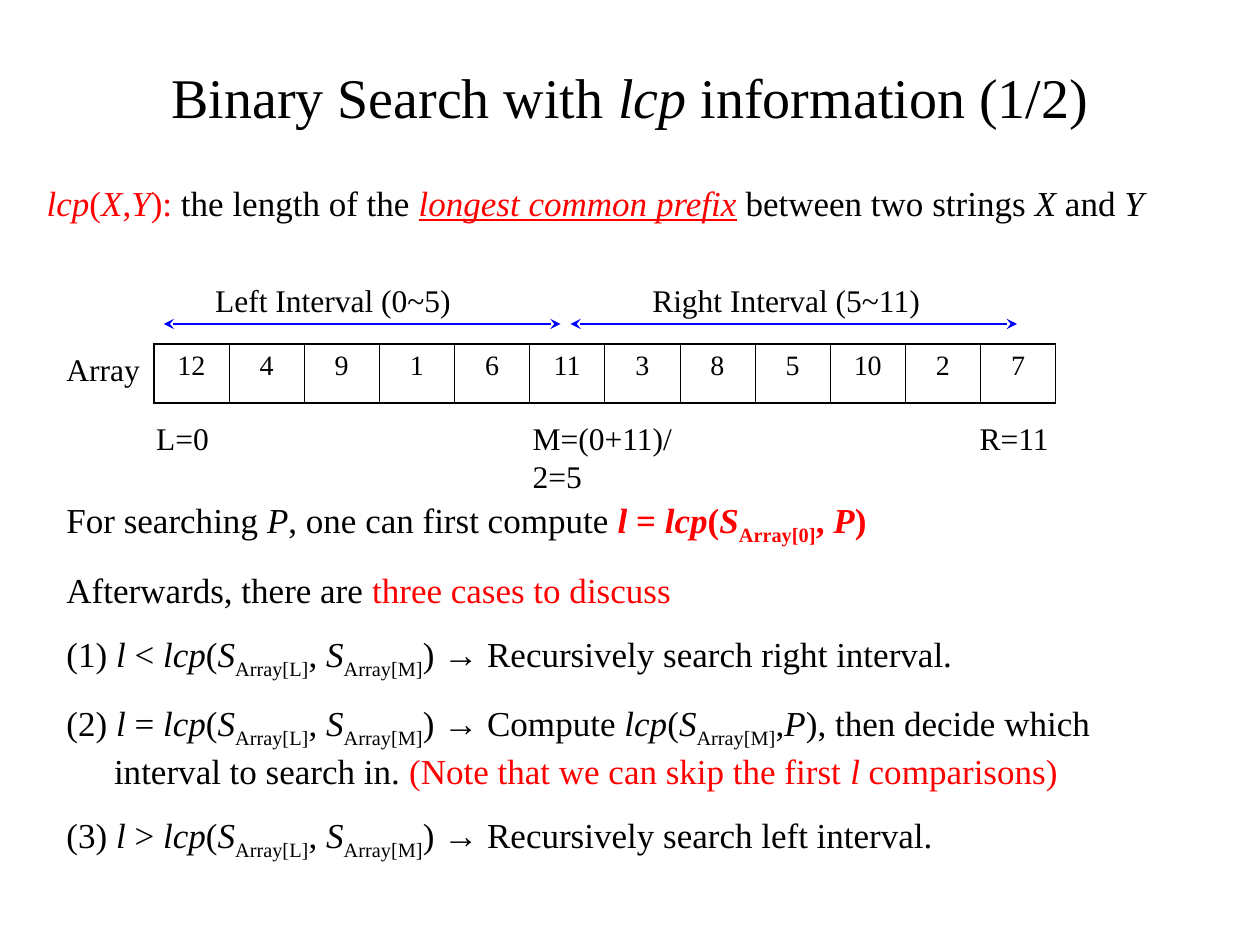
import pptx
import pptx.util
import pptx.dml.color
import pptx.enum.shapes
import pptx.enum.text
import pptx.oxml
import pptx.oxml.ns
from dataclasses import dataclass
from pptx.util import Cm, Pt


@dataclass(frozen=True)
class Theme:
    font: str = "Times New Roman"
    arrow_font: str = "Arial"
    ink: str = "000000"
    red: str = "FF0000"
    blue: str = "0000FF"
    title: float = 32
    body: float = 20
    label: float = 18
    cell: float = 16
    gap: float = 12.5
    outer_line: float = 1.08
    inner_line: float = 0.45
    arrow_line: float = 1.5


T = Theme()

# Run flags: i italic, b bold, u underline, r red, s subscript, a arrow font
TITLE = [("Binary Search with ", ""), ("lcp", "i"), (" information (1/2)", "")]
DEFINITION = [
    ("lcp", "ri"), ("(", "r"), ("X", "ri"), (",", "r"), ("Y", "ri"), ("):", "r"),
    (" the length of the ", ""), ("longest common prefix", "riu"),
    (" between two strings ", ""), ("X", "i"), (" and ", ""), ("Y", "i"),
]
ARRAY = [12, 4, 9, 1, 6, 11, 3, 8, 5, 10, 2, 7]


def case(number, relation):
    return [
        (f"({number})", ""), (" l", "i"), (f" {relation} ", ""), ("lcp", "i"), ("(", ""),
        ("S", "i"), ("Array[L]", "s"), (", ", ""), ("S", "i"), ("Array[M]", "s"),
        (") ", ""), ("→", "a"),
    ]


STEPS = [
    [("For searching ", ""), ("P", "i"), (", one can first compute ", ""), ("l ", "rbi"),
     ("= ", "rb"), ("lcp", "rbi"), ("(", "rb"), ("S", "rbi"), ("Array[0]", "rbs"),
     (", ", "rb"), ("P", "rbi"), (")", "rb")],
    [("Afterwards, there are ", ""), ("three cases to discuss", "r")],
    case(1, "<") + [(" Recursively search right interval.", "")],
    case(2, "=") + [
        (" Compute ", ""), ("lcp", "i"), ("(", ""), ("S", "i"), ("Array[M]", "s"), (",", ""),
        ("P", "i"), ("), then decide which interval to search in. ", ""),
        ("(Note that we can skip the first ", "r"), ("l", "ri"), (" comparisons)", "r")],
    case(3, ">") + [(" Recursively search left interval.", "")],
]

INTERVAL_TOP, ARRAY_TOP, INDEX_TOP = 5.54, 6.93, 8.33
LABELS = [
    ("Left Interval (0~5)", 4.09, INTERVAL_TOP, 5.42),
    ("Right Interval (5~11)", 12.9, INTERVAL_TOP, 6.2),
    ("Array", 1.09, ARRAY_TOP, 2.02),
    ("L=0", 2.9, INDEX_TOP, 1.82),
    ("M=(0+11)/2=5", 10.49, INDEX_TOP, 3.99),
    ("R=11", 19.5, INDEX_TOP, 2.02),
]
ARROW_Y = 6.53
ARROWS = [(3.3, 11.3), (11.5, 20.5)]
TABLE_LEFT, TABLE_WIDTH, TABLE_HEIGHT = 3.1, 18.19, 1.19
HANGING = 0.96


def rgb(value):
    return pptx.dml.color.RGBColor.from_string(value)


def style(font, size):
    font.name = T.font
    font.size = Pt(size)
    font.color.rgb = rgb(T.ink)


def write(p, runs, size):
    style(p.font, size)
    for text, flags in runs:
        r = p.add_run()
        r.text = text
        if "i" in flags:
            r.font.italic = True
        if "b" in flags:
            r.font.bold = True
        if "u" in flags:
            r.font.underline = True
        if "r" in flags:
            r.font.color.rgb = rgb(T.red)
        if "a" in flags:
            r.font.name = T.arrow_font
        if "s" in flags:
            r._r.get_or_add_rPr().set("baseline", "-25000")


def add_text(s, paragraphs, left, top, width, height, size, hanging=0):
    sp = s.shapes.add_textbox(Cm(left), Cm(top), Cm(width), Cm(height))
    tf = sp.text_frame
    tf.word_wrap = True
    tf.auto_size = pptx.enum.text.MSO_AUTO_SIZE.SHAPE_TO_FIT_TEXT
    for i, runs in enumerate(paragraphs):
        p = tf.add_paragraph() if i else tf.paragraphs[0]
        if i:
            p.space_before = Pt(T.gap)
        if hanging:
            pPr = p._p.get_or_add_pPr()
            pPr.set("marL", str(Cm(hanging)))
            pPr.set("indent", str(-Cm(hanging)))
        write(p, runs, size)


def add_border(cell, side, width):
    tcPr = cell._tc.get_or_add_tcPr()
    tcPr.append(pptx.oxml.parse_xml(
        f'<a:{side} {pptx.oxml.ns.nsdecls("a")} w="{Pt(width)}"><a:solidFill>'
        f'<a:srgbClr val="{T.ink}"/></a:solidFill></a:{side}>'))


def add_array(s):
    n = len(ARRAY)
    frame = s.shapes.add_table(1, n, Cm(TABLE_LEFT), Cm(ARRAY_TOP),
                               Cm(TABLE_WIDTH), Cm(TABLE_HEIGHT))
    table = frame.table
    table.first_row = False
    table.horz_banding = False
    for i, value in enumerate(ARRAY):
        table.columns[i].width = Cm(TABLE_WIDTH / n)
        cell = table.cell(0, i)
        p = cell.text_frame.paragraphs[0]
        p.alignment = pptx.enum.text.PP_ALIGN.CENTER
        write(p, [(str(value), "")], T.cell)
        add_border(cell, "lnL", T.inner_line if i else T.outer_line)
        add_border(cell, "lnR", T.inner_line if i < n - 1 else T.outer_line)
        add_border(cell, "lnT", T.outer_line)
        add_border(cell, "lnB", T.outer_line)
        cell.fill.background()


def add_arrow(s, start, end):
    c = s.shapes.add_connector(pptx.enum.shapes.MSO_CONNECTOR.STRAIGHT,
                               Cm(start), Cm(ARROW_Y), Cm(end), Cm(ARROW_Y))
    c.line.color.rgb = rgb(T.blue)
    c.line.width = Pt(T.arrow_line)
    ns = pptx.oxml.ns.nsdecls("a")
    ln = c.line._get_or_add_ln()
    for tag in ("headEnd", "tailEnd"):
        ln.append(pptx.oxml.parse_xml(f'<a:{tag} {ns} type="stealth"/>'))
    c._element.spPr.append(pptx.oxml.parse_xml(f"<a:effectLst {ns}/>"))


def main():
    prs = pptx.Presentation()
    prs.slide_width, prs.slide_height = Cm(25.4), Cm(19.05)
    s = prs.slides.add_slide(prs.slide_layouts[5])

    title = s.shapes.title
    title.left, title.top, title.width, title.height = Cm(1.27), Cm(0.76), Cm(22.86), Cm(2.36)
    tf = title.text_frame
    tf.vertical_anchor = pptx.enum.text.MSO_ANCHOR.MIDDLE
    tf.paragraphs[0].alignment = pptx.enum.text.PP_ALIGN.CENTER
    write(tf.paragraphs[0], TITLE, T.title)

    add_text(s, [DEFINITION], 0.69, 3.53, 24, 1.12, T.body)
    add_array(s)
    for text, left, top, width in LABELS:
        add_text(s, [[(text, "")]], left, top, width, 1.02, T.label)
    add_text(s, STEPS, 1.09, 9.93, 23.22, 8.86, T.body, HANGING)
    for start, end in ARROWS:
        add_arrow(s, start, end)

    prs.save("out.pptx")


if __name__ == "__main__":
    main()
